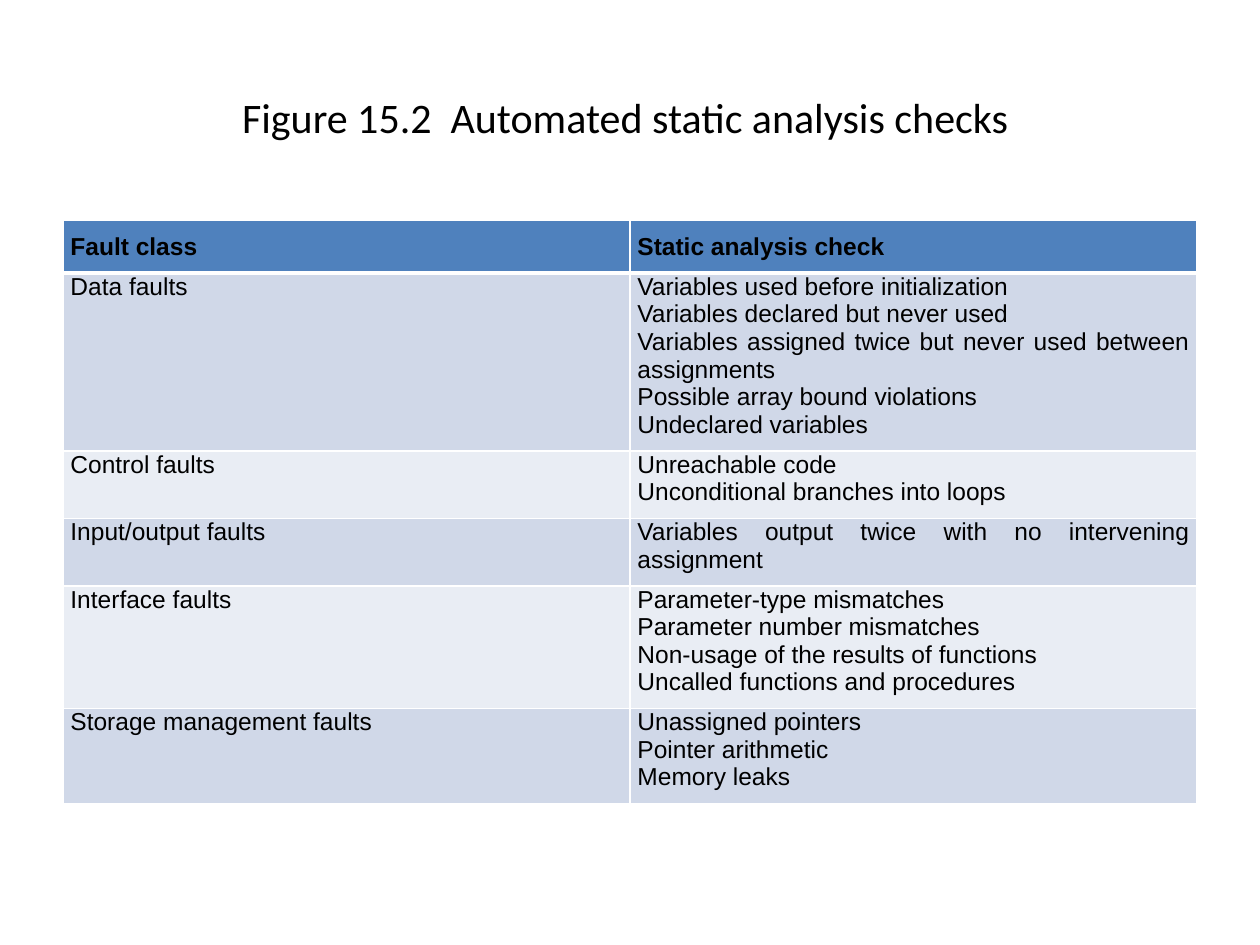
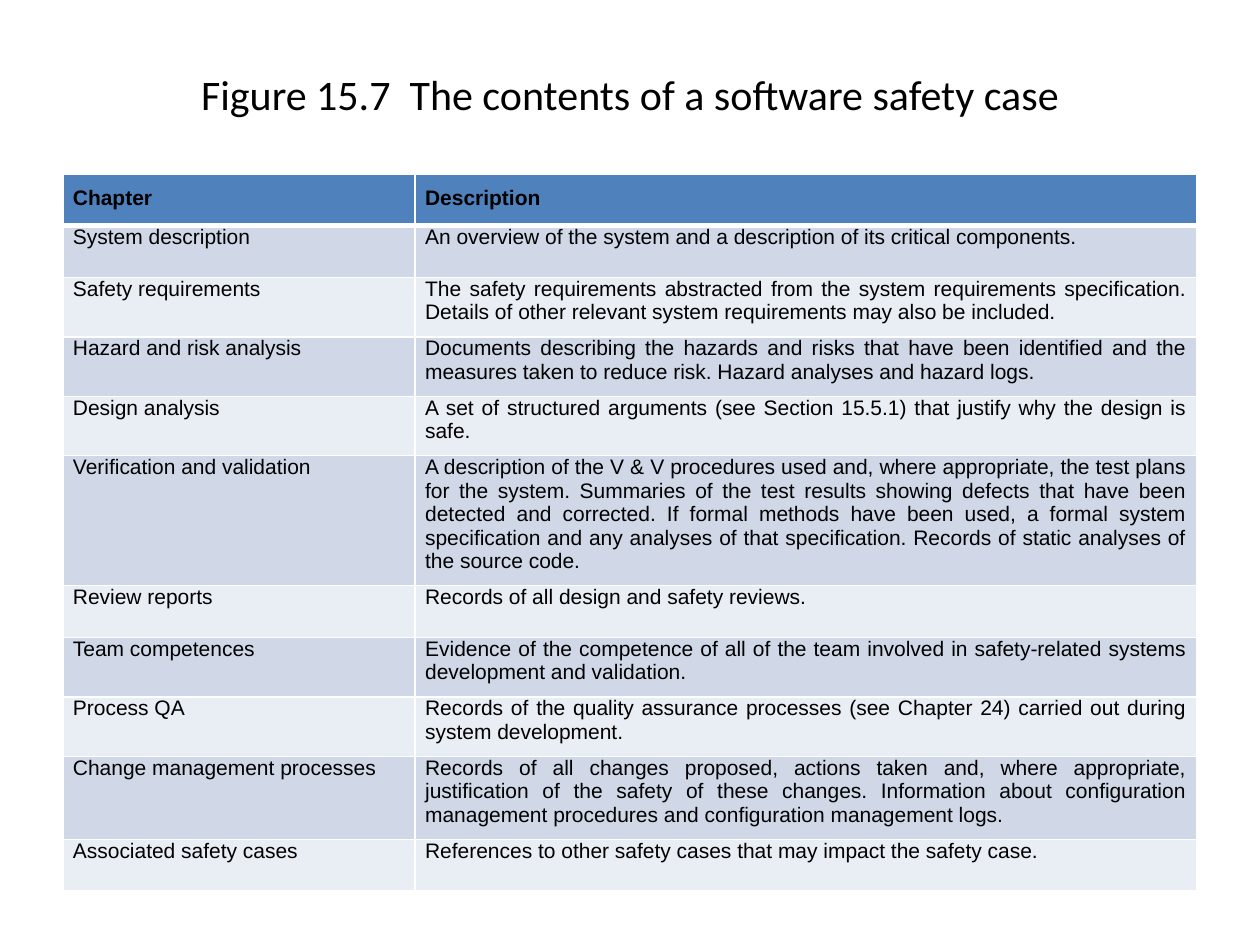
import pptx
import pptx.dml.color
import pptx.enum.text
import pptx.util
from lxml import etree
from pptx.oxml.ns import qn

Cm = pptx.util.Cm
Pt = pptx.util.Pt
Align = pptx.enum.text.PP_ALIGN
Anchor = pptx.enum.text.MSO_ANCHOR

INK, LINE, HEAD = "000000", "FFFFFF", "4F81BD"
BANDS = ["D0D8E8", "E9EDF4"]
LEFT, WIDTH, ROW = 1.27, 22.86, 1.04

FAULTS = [
    ("Fault class", "Static analysis check"),
    ("Data faults", "Variables used before initialization\n"
     "Variables declared but never used\n"
     "Variables assigned twice but never used between assignments\n"
     "Possible array bound violations \n"
     "Undeclared variables"),
    ("Control faults", "Unreachable code\nUnconditional branches into loops"),
    ("Input/output faults",
     "Variables output twice with no intervening assignment"),
    ("Interface faults", "Parameter-type mismatches\n"
     "Parameter number mismatches\n"
     "Non-usage of the results of functions\n"
     "Uncalled functions and procedures"),
    ("Storage management faults",
     "Unassigned pointers\nPointer arithmetic\nMemory leaks"),
]

CASE = [
    ("Chapter", "Description"),
    ("System description",
     "An overview of the system and a description of its critical "
     "components. "),
    ("Safety requirements",
     "The safety requirements abstracted from the system requirements "
     "specification. Details of other relevant system requirements may also "
     "be included."),
    ("Hazard and risk analysis",
     "Documents describing the hazards and risks that have been identified "
     "and the measures taken to reduce risk. Hazard analyses and hazard "
     "logs."),
    ("Design analysis",
     "A set of structured arguments (see Section 15.5.1) that justify why "
     "the design is safe. "),
    ("Verification and validation",
     "A description of the V & V procedures used and, where appropriate, the "
     "test plans for the system. Summaries of the test results showing "
     "defects that have been detected and corrected. If formal methods have "
     "been used, a formal system specification and any analyses of that "
     "specification. Records of static analyses of the source code."),
    ("Review reports", "Records of all design and safety reviews."),
    ("Team competences",
     "Evidence of the competence of all of the team involved in "
     "safety-related systems development and validation."),
    ("Process QA",
     "Records of the quality assurance processes (see Chapter 24) carried "
     "out during system development."),
    ("Change management processes",
     "Records of all changes proposed, actions taken and, where appropriate, "
     "justification of the safety of these changes. Information about "
     "configuration management procedures and configuration management "
     "logs. "),
    ("Associated safety cases",
     "References to other safety cases that may impact the safety case."),
]


def color(code):
    return pptx.dml.color.RGBColor.from_string(code)


def write(frame, text, size=14, font="Arial", bold=False, align=Align.JUSTIFY):
    frame.text = text
    for para in frame.paragraphs:
        para.alignment = align
        para.font.size = Pt(size)
        para.font.name = font
        para.font.bold = bold
        para.font.color.rgb = color(INK)


def edge(cell, side, width):
    props = cell._tc.get_or_add_tcPr()
    line = etree.SubElement(props, qn("a:ln" + side), w=str(Pt(width)))
    fill = etree.SubElement(line, qn("a:solidFill"))
    etree.SubElement(fill, qn("a:srgbClr"), val=LINE)


def title(slide, text, top):
    shape = slide.shapes.title
    shape.left, shape.top = Cm(LEFT), Cm(top)
    shape.width, shape.height = Cm(WIDTH), Cm(3.18)
    shape.text_frame.vertical_anchor = Anchor.MIDDLE
    write(shape.text_frame, text, size=24, font="Calibri", align=Align.CENTER)


def grid(slide, rows, box, first, size, pad, align):
    left, top, width, height = box
    frame = slide.shapes.add_table(len(rows), 2, Cm(left), Cm(top),
                                   Cm(width), Cm(height))
    table = frame.table
    for col, span in zip(table.columns, (first, width - first)):
        col.width = Cm(span)
    for r, texts in enumerate(rows):
        table.rows[r].height = Cm(ROW)
        for c, text in enumerate(texts):
            cell = table.cell(r, c)
            cell.margin_left = cell.margin_right = Cm(pad)
            cell.margin_top = Cm(0 if r else 0.25)
            cell.margin_bottom = Cm(0.25)
            for side in "LRTB":
                thick = (r, side) in [(0, "B"), (1, "T")]
                edge(cell, side, 3 if thick else 1)
            cell.fill.solid()
            cell.fill.fore_color.rgb = color(BANDS[(r - 1) % 2] if r else HEAD)
            write(cell.text_frame, text, size=size, bold=r == 0,
                  align=align if r and c == 0 else Align.JUSTIFY)
    frame.height = Cm(height)


def page(deck, text, rows, top, box, **style):
    slide = deck.slides.add_slide(deck.slide_layouts[5])
    title(slide, text, top)
    grid(slide, rows, box, **style)


def main():
    deck = pptx.Presentation()
    deck.slide_width, deck.slide_height = Cm(25.4), Cm(19.05)
    page(deck, "Figure 15.2  Automated static analysis checks ", FAULTS, 0.76,
         (LEFT, 4.45, WIDTH, 12.45),
         first=WIDTH / 2, size=14, pad=0.15, align=Align.JUSTIFY)
    page(deck, "Figure 15.7  The contents of a software safety case", CASE, 0.3,
         (LEFT, 3.51, WIDTH, 15.04),
         first=7.1, size=12, pad=0.2, align=Align.LEFT)
    deck.save("out.pptx")


if __name__ == "__main__":
    main()
